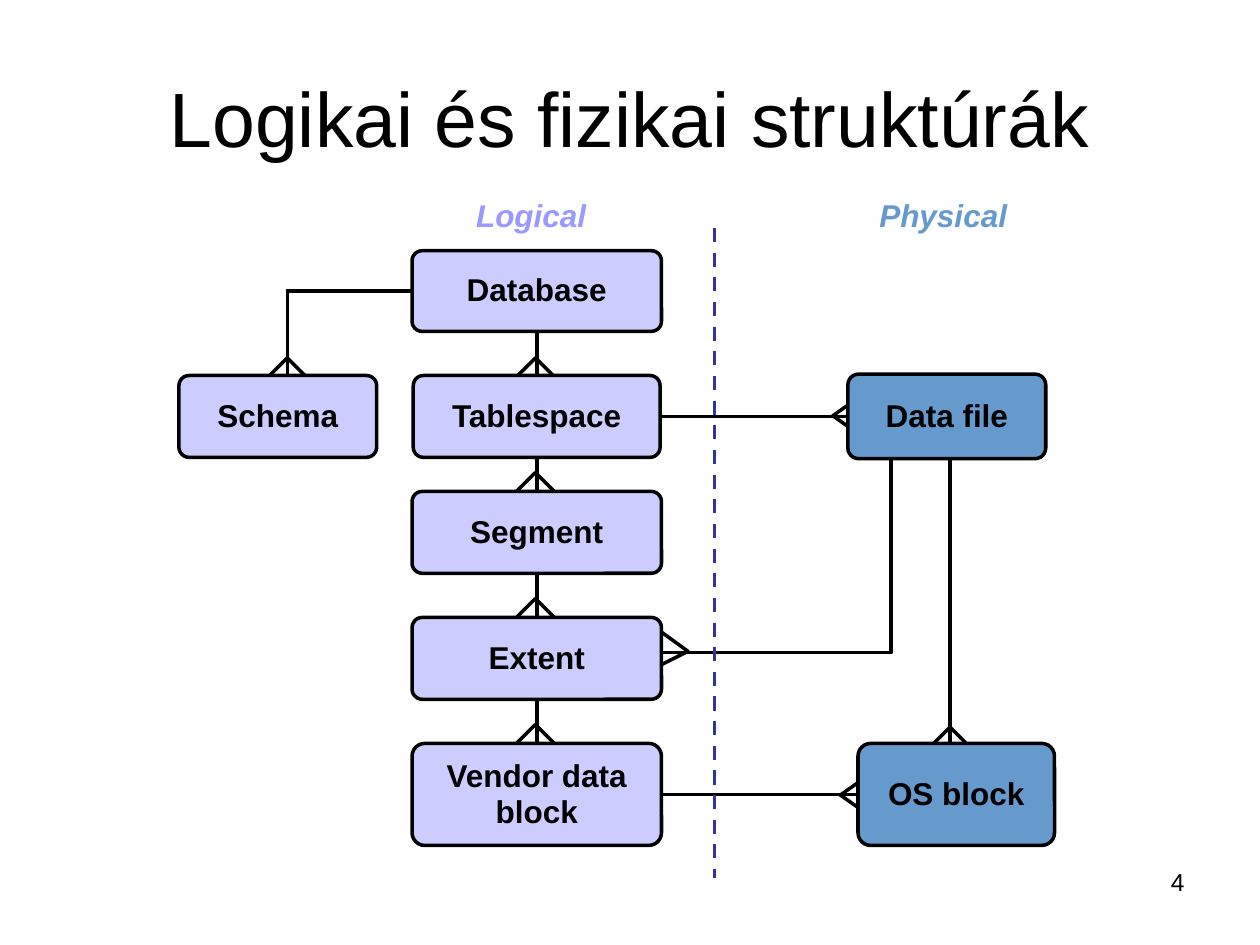
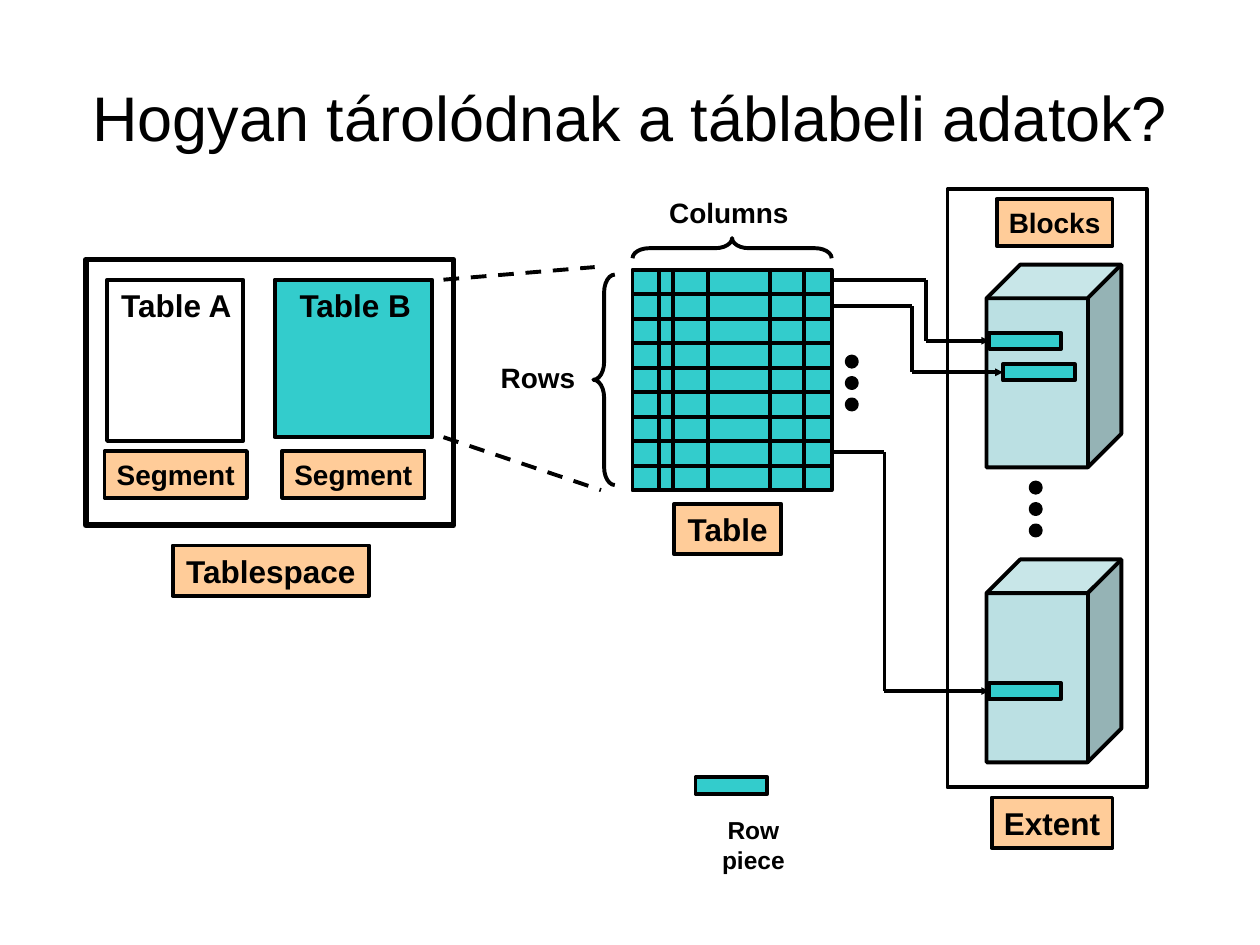
from dataclasses import dataclass
from itertools import pairwise

from lxml.etree import SubElement
from pptx import Presentation
from pptx.dml.color import RGBColor
from pptx.enum.dml import MSO_LINE
from pptx.enum.shapes import MSO_CONNECTOR, MSO_SHAPE
from pptx.enum.text import MSO_ANCHOR, MSO_AUTO_SIZE, PP_ALIGN
from pptx.oxml.ns import qn
from pptx.util import Inches, Pt

BOTTOM, LEFT, RIGHT, TOP = 2, 1, 3, 0


@dataclass(frozen=True)
class Theme:
    font: str = "Arial"
    ink: str = "000000"
    logical: str = "CCCCFF"
    logical_text: str = "9999FF"
    physical: str = "6699CC"
    divider: str = "333399"
    data: str = "33CCCC"
    tag: str = "FFCC99"
    block: str = "BBE0E3"
    body: int = 18
    small: int = 16
    note: int = 14
    model_line: float = 2
    storage_line: float = 2.25
    frame_line: float = 3.25


THEME = Theme()


# Text

def write(frame, text, size, color=THEME.ink, bold=True, italic=False,
          align=PP_ALIGN.CENTER, before=0, spacing=1.0):
    paragraph = frame.paragraphs[0]
    paragraph.alignment = align
    paragraph.space_before = Pt(before)
    paragraph.line_spacing = spacing
    for number, line in enumerate(text.split("\n")):
        if number:
            paragraph.add_line_break()
        run = paragraph.add_run()
        run.text = line
        run.font.name = THEME.font
        run.font.size = Pt(size)
        run.font.bold = bold
        run.font.italic = italic
        run.font.color.rgb = RGBColor.from_string(color)


def add_title(slide, text, size):
    title = slide.shapes.title
    title.left, title.top = Inches(0.5), Inches(0.3)
    title.width, title.height = Inches(9), Inches(1.25)
    title.text_frame.auto_size = MSO_AUTO_SIZE.NONE
    title.text_frame.vertical_anchor = MSO_ANCHOR.MIDDLE
    write(title.text_frame, text, size, bold=False)


def add_label(slide, box, text, size, **style):
    label = slide.shapes.add_textbox(*map(Inches, box))
    label.text_frame.word_wrap = False
    write(label.text_frame, text, size, **style)


# Shapes and lines

def paint(shape, fill, weight):
    shape.shadow.inherit = False
    if fill:
        shape.fill.solid()
        shape.fill.fore_color.rgb = RGBColor.from_string(fill)
    else:
        shape.fill.background()
    shape.line.color.rgb = RGBColor.from_string(THEME.ink)
    shape.line.width = Pt(weight)
    return shape


def add_block(slide, kind, box, fill=None, weight=THEME.storage_line):
    return paint(slide.shapes.add_shape(kind, *map(Inches, box)), fill, weight)


def add_path(slide, points, weight=THEME.model_line):
    corners = [(Inches(x), Inches(y)) for x, y in points]
    builder = slide.shapes.build_freeform(*corners[0])
    builder.add_line_segments(corners[1:], close=False)
    paint(builder.convert_to_shape(), None, weight)


def add_line(slide, start, end, weight, color=THEME.ink, dashed=False,
             arrow=False, begin_at=None, end_at=None):
    line = slide.shapes.add_connector(
        MSO_CONNECTOR.STRAIGHT, *map(Inches, (*start, *end)))
    if begin_at:
        line.begin_connect(*begin_at)
    if end_at:
        line.end_connect(*end_at)
    line.line.color.rgb = RGBColor.from_string(color)
    line.line.width = Pt(weight)
    if dashed:
        line.line.dash_style = MSO_LINE.DASH
    properties = line._element.spPr
    if arrow:
        SubElement(properties.find(qn("a:ln")), qn("a:tailEnd"),
                   type="triangle", w="sm", len="sm")
    SubElement(properties, qn("a:effectLst"))


# Logical and physical structures

def add_entity(slide, box, text, fill):
    entity = add_block(slide, MSO_SHAPE.ROUNDED_RECTANGLE, box, fill,
                       THEME.model_line)
    entity.adjustments[0] = 0.125
    frame = entity.text_frame
    frame.word_wrap = False
    frame.vertical_anchor = MSO_ANCHOR.MIDDLE
    frame.margin_left = frame.margin_right = Inches(0.05)
    write(frame, text, THEME.body, spacing=0.95)
    return entity


def add_crow_foot(slide, tip, first, second):
    """Two toes spread from the tip by the given offsets."""
    x, y = tip
    add_path(slide, [(x + first[0], y + first[1]), tip,
                     (x + second[0], y + second[1])])


def join(slide, upper, upper_side, lower, lower_side):
    add_line(slide, (0, 0), (0, 0), THEME.model_line,
             begin_at=(upper, upper_side), end_at=(lower, lower_side))


def build_structures(slide):
    add_title(slide, "Logikai és fizikai struktúrák", 44)
    add_label(slide, (7.17, 6.83, 2.33, 0.52), "4", THEME.note,
              bold=False, align=PP_ALIGN.RIGHT)

    # Crow's feet, partly covered by the entities
    spine = 4.25
    for tip in [(spine, 2.84), (spine, 3.75), (spine, 4.75), (spine, 5.75),
                (2.28, 2.84), (7.54, 5.77)]:
        add_crow_foot(slide, tip, (-0.25, 0.25), (0.25, 0.25))
    for tip in [(6.61, 3.3), (6.67, 6.31)]:
        add_crow_foot(slide, tip, (0.17, -0.12), (0.17, 0.12))
    add_crow_foot(slide, (5.46, 5.17), (-0.22, -0.16), (-0.22, 0.11))

    # Lines beside the middle of a side
    add_path(slide, [(5.24, 5.18), (7.07, 5.18), (7.07, 3.51)])
    add_line(slide, (7.54, 3.5), (7.54, 6.16), THEME.model_line)
    add_line(slide, (2.28, 2.31), (2.28, 3.14), THEME.model_line)

    # Entities
    chain = [
        add_entity(slide, (spine + 0.01 - width / 2, top, width, height),
                   name, THEME.logical)
        for name, top, width, height in [
            ("Database", 1.99, 1.98, 0.64),
            ("Tablespace", 2.98, 1.96, 0.65),
            ("Segment", 3.9, 1.98, 0.65),
            ("Extent", 4.9, 1.98, 0.65),
            ("Vendor data\nblock", 5.9, 1.98, 0.81)]
    ]
    database, tablespace, *_, data_block = chain
    add_entity(slide, (1.42, 2.98, 1.57, 0.65), "Schema", THEME.logical)
    data_file = add_entity(slide, (6.73, 2.97, 1.57, 0.67), "Data file",
                           THEME.physical)
    os_block = add_entity(slide, (6.81, 5.9, 1.56, 0.81), "OS block",
                          THEME.physical)

    # Joined relations
    for parent, child in pairwise(chain):
        join(slide, parent, BOTTOM, child, TOP)
    join(slide, tablespace, RIGHT, data_file, LEFT)
    join(slide, data_block, RIGHT, os_block, LEFT)
    add_line(slide, (3.27, 2.31), (2.27, 2.31), THEME.model_line,
             begin_at=(database, LEFT))

    # Two sides of the model
    add_line(slide, (5.67, 1.81), (5.67, 6.97), THEME.model_line,
             THEME.divider, dashed=True)
    for box, side, color in [
            ((3.68, 1.55, 1.08, 0.36), "Logical", THEME.logical_text),
            ((6.88, 1.55, 1.22, 0.36), "Physical", THEME.physical)]:
        add_label(slide, box, side, THEME.body, color=color, italic=True,
                  align=PP_ALIGN.LEFT, before=7.9, spacing=0.85)


# Storage of table data

def add_tag(slide, box, text, size=THEME.body):
    tag = add_block(slide, MSO_SHAPE.RECTANGLE, box, THEME.tag)
    tag.text_frame.word_wrap = False
    tag.text_frame.vertical_anchor = MSO_ANCHOR.TOP
    write(tag.text_frame, text, size, before=size / 4)


def add_row_piece(slide, left, top):
    return add_block(slide, MSO_SHAPE.RECTANGLE, (left, top, 0.57, 0.13),
                     THEME.data)


def add_dots(slide, left, top):
    for number in range(3):
        add_block(slide, MSO_SHAPE.OVAL,
                  (left, top + number * 0.17, 0.08, 0.08), THEME.ink)


def add_brace(slide, box, rotation=0):
    brace = add_block(slide, MSO_SHAPE.LEFT_BRACE, box)
    brace.adjustments[0] = 0.83
    brace.rotation = rotation


def add_grid(slide, left, top, width, height, rows, dividers):
    add_block(slide, MSO_SHAPE.RECTANGLE, (left, top, width, height),
              THEME.data)
    for row in range(1, rows):
        y = top + row * height / rows
        add_line(slide, (left, y), (left + width, y), THEME.storage_line)
    for x in dividers:
        add_line(slide, (x, top), (x, top + height), THEME.storage_line)


def add_route(slide, start, turn, piece):
    """Lead a table row to its row piece with two right-angle turns."""
    level = (piece.top + piece.height / 2) / Inches(1)
    corners = [start, (turn, start[1]), (turn, level)]
    for begin, end in pairwise(corners):
        add_line(slide, begin, end, THEME.storage_line)
    add_line(slide, corners[-1], (turn, level), THEME.storage_line,
             arrow=True, end_at=(piece, LEFT))


def build_storage(slide):
    add_title(slide, "Hogyan tárolódnak a táblabeli adatok?", 36)

    # Tablespace with its segments
    add_block(slide, MSO_SHAPE.RECTANGLE, (0.68, 2.06, 2.92, 2.11),
              weight=THEME.frame_line)
    add_block(slide, MSO_SHAPE.RECTANGLE, (0.85, 2.22, 1.08, 1.28))
    add_block(slide, MSO_SHAPE.RECTANGLE, (2.18, 2.22, 1.25, 1.25), THEME.data)
    for name, name_left, tag_left in [("Table A", 0.85, 0.83),
                                      ("Table B", 2.27, 2.24)]:
        add_label(slide, (name_left, 2.22, 1.1, 0.4), name, THEME.body,
                  before=4.5)
        add_tag(slide, (tag_left, 3.58, 1.13, 0.37), "Segment", THEME.small)
    add_tag(slide, (1.37, 4.33, 1.56, 0.4), "Tablespace")

    # Enlarged table
    add_line(slide, (3.52, 2.22), (4.72, 2.12), THEME.storage_line, dashed=True)
    add_line(slide, (3.52, 3.47), (4.77, 3.89), THEME.storage_line, dashed=True)
    add_grid(slide, 5.02, 2.14, 1.58, 1.75, 9, (5.23, 5.34, 5.62, 6.11, 6.38))
    add_brace(slide, (4.71, 2.18, 0.17, 1.67))
    add_brace(slide, (5.73, 1.18, 0.16, 1.58), 90)
    add_label(slide, (3.77, 2.81, 1, 0.37), "Rows", THEME.small, before=4)
    add_label(slide, (5.21, 1.5, 1.15, 0.37), "Columns", THEME.small, before=4)
    add_tag(slide, (5.35, 4, 0.85, 0.4), "Table")
    add_dots(slide, 6.72, 2.83)

    # Extent with its blocks
    add_block(slide, MSO_SHAPE.RECTANGLE, (7.52, 1.5, 1.58, 4.75))
    for top in (2.1, 4.44):
        add_block(slide, MSO_SHAPE.CUBE, (7.83, top, 1.07, 1.61), THEME.block)
    add_dots(slide, 8.18, 3.83)
    add_tag(slide, (7.91, 1.58, 0.92, 0.37), "Blocks", THEME.small)
    add_tag(slide, (7.87, 6.33, 0.96, 0.4), "Extent")

    # Rows led to their pieces
    for row_y, turn, piece_left, piece_top in [
            (2.22, 7.35, 7.85, 2.64),
            (2.43, 7.24, 7.96, 2.89),
            (3.59, 7.02, 7.85, 5.42)]:
        piece = add_row_piece(slide, piece_left, piece_top)
        add_route(slide, (6.6, row_y), turn, piece)

    # Legend
    add_row_piece(slide, 5.52, 6.17)
    add_label(slide, (5.4, 6.42, 1.16, 0.34), "Row piece", THEME.note,
              before=3.5)


def main():
    deck = Presentation()
    deck.slide_width, deck.slide_height = Inches(10), Inches(7.5)
    title_only = deck.slide_layouts[5]
    for build in (build_structures, build_storage):
        build(deck.slides.add_slide(title_only))
    deck.save("out.pptx")


if __name__ == "__main__":
    main()
